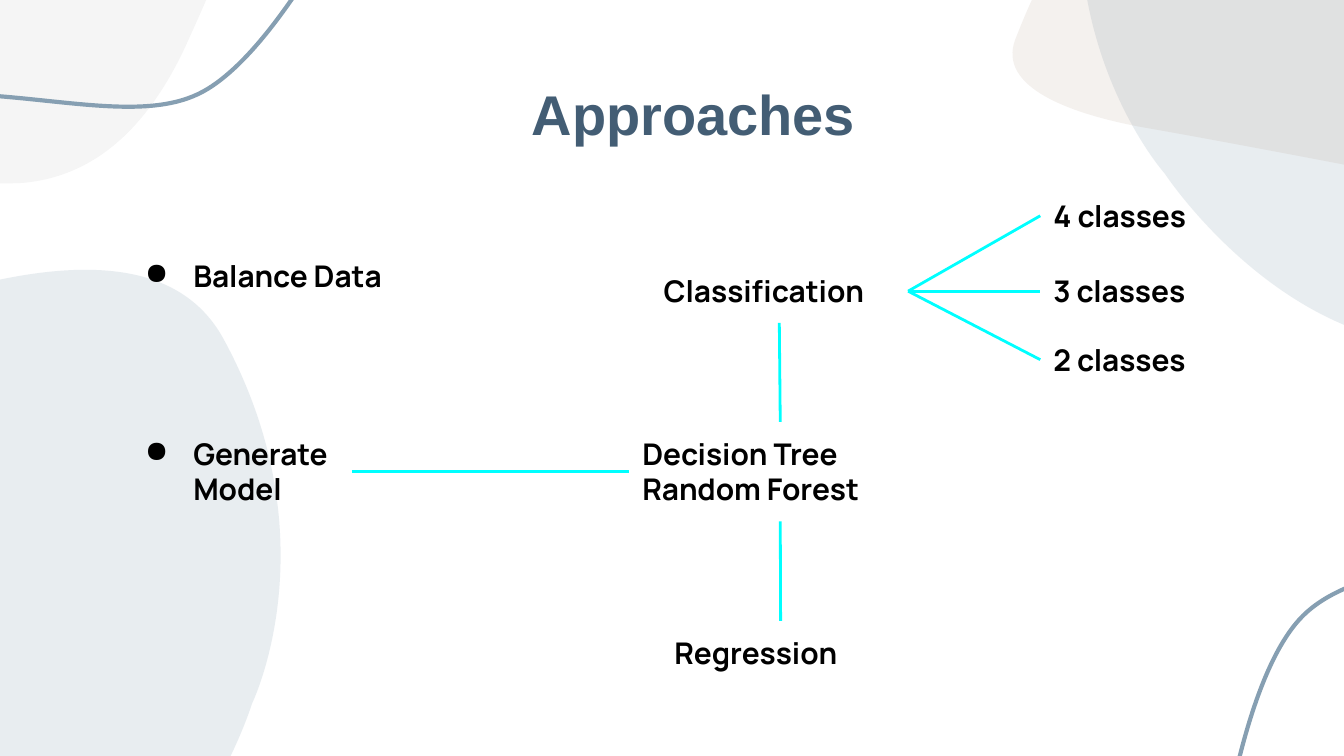
from pptx import Presentation
from pptx.dml.color import RGBColor
from pptx.enum.shapes import MSO_CONNECTOR
from pptx.enum.text import MSO_ANCHOR, MSO_AUTO_SIZE, PP_ALIGN
from pptx.oxml.ns import qn
from pptx.oxml.xmlchemy import OxmlElement
from pptx.util import Pt

COLORS = {"title": "435D74", "text": "000000", "link": "00FFFF", "wave": "869FB2",
          "mist": "CFD9E0", "sand": "AC9078", "gray": "595959", "background": "FFFFFF"}

# Background outlines: a start point, then rows of two control points and an end point
BLOBS = [
    ("mist", 46, (-235, 234), [
        (-178, 228, 63, 76, 120, 182), (178, 289, 135, 377, 135, 377),
        (135, 377, 107, 468, 35, 500), (-150, 590, -650, 280, -235, 234)]),
    ("mist", 46, (585, -99), [
        (558, 19, 624, 93, 624, 93), (624, 93, 676, 172, 755, 184),
        (1350, 270, 640, -330, 585, -99)]),
    ("sand", 12, (579, -35), [
        (561, -22, 552, 1, 544, 21), (534, 47, 574, 61, 611, 68),
        (663, 77, 772, 98, 852, 114), (1060, 155, 640, -110, 579, -35)]),
    ("gray", 6, (-49, 92), [
        (-29, 97, -9, 99, 12, 98), (58, 94, 85, 58, 102, 19),
        (125, -31, 142, -83, 162, -133), (300, -480, -700, -60, -49, 92)]),
]
WAVES = [
    ((647, 509), [(647, 509, 658, 374, 696, 332), (740, 283, 880, 318, 945, 186)]),
    ((213, -103), [(213, -103, 158, 22, 109, 49), (51, 81, -69, 2, -174, 107)]),
]

# Labels: lines of text, left, top, width, height
ONE_LINE, TWO_LINES = 34, 53.3
STEP_LEFT, CLASS_LEFT, MODEL_TOP, CLASS_TOP, NARROW = 60.5, 557.3, 226, 139, 128
TITLE = ("Approaches", 57, 34.5, 629, 52)
LABELS = {
    "models": ("Decision Tree\nRandom Forest", 337, MODEL_TOP, 162, TWO_LINES),
    "classification": ("Classification", 348.5, CLASS_TOP, 138, ONE_LINE),
    "regression": ("Regression", 354.2, 332.6, NARROW, ONE_LINE),
    "four": ("4 classes", CLASS_LEFT, 98.6, NARROW, ONE_LINE),
    "three": ("3 classes", CLASS_LEFT, CLASS_TOP, NARROW, ONE_LINE),
    "two": ("2 classes", CLASS_LEFT, 175.7, NARROW, ONE_LINE),
    "balance": ("Balance Data", STEP_LEFT, 131, 284.4, TWO_LINES),
    "generate": ("Generate Model", STEP_LEFT, MODEL_TOP, NARROW, TWO_LINES),
}
BULLETED = ("balance", "generate")
LINKS = [("generate", "right", "models", "left"),
         ("models", "top", "classification", "bottom"),
         ("models", "bottom", "regression", "top")]
LINKS += [("classification", "right", count, "left") for count in ("four", "three", "two")]
SIDES = {"left": (0, 0.5), "right": (1, 0.5), "top": (0.5, 0), "bottom": (0.5, 1)}


def rgb(name):
    return RGBColor.from_string(COLORS[name])


def add_curve(start, rows, closed):
    """Draw the control points as straight segments, then join each three into a curve."""
    builder = slide.shapes.build_freeform(Pt(start[0]), Pt(start[1]))
    points = [(Pt(row[i]), Pt(row[i + 1])) for row in rows for i in (0, 2, 4)]
    builder.add_line_segments(points, close=closed)
    outline = builder.convert_to_shape()
    outline.shadow.inherit = False
    segments = list(outline._element.iter(qn("a:lnTo")))
    for i in range(0, len(segments), 3):
        curve = OxmlElement("a:cubicBezTo")
        segments[i].addprevious(curve)
        for segment in segments[i:i + 3]:
            curve.append(segment[0])
            segment.getparent().remove(segment)
    return outline


def add_bullet(paragraph):
    properties = paragraph._p.get_or_add_pPr()
    properties.set("marL", str(Pt(36)))
    properties.set("indent", str(Pt(-26)))
    bullet_color = OxmlElement("a:buClr")
    swatch = OxmlElement("a:srgbClr")
    swatch.set("val", COLORS["text"])
    bullet_color.append(swatch)
    bullet = OxmlElement("a:buChar")
    bullet.set("char", "●")
    properties.extend([bullet_color, bullet])


def add_label(words, left, top, width, height, font_name, size, color, bulleted=False):
    label = slide.shapes.add_textbox(Pt(left), Pt(top), Pt(width), Pt(height))
    frame = label.text_frame
    frame.word_wrap = True
    frame.margin_left = frame.margin_right = frame.margin_top = frame.margin_bottom = Pt(7.2)
    frame.text = words
    for paragraph in frame.paragraphs:
        if bulleted:
            add_bullet(paragraph)
        for run in paragraph.runs:
            run.font.name, run.font.size, run.font.bold = font_name, Pt(size), True
            run.font.color.rgb = rgb(color)
    return frame


def side_point(label, side):
    _, left, top, width, height = LABELS[label]
    across, down = SIDES[side]
    return Pt(left + across * width), Pt(top + down * height)


presentation = Presentation()
presentation.slide_width, presentation.slide_height = Pt(720), Pt(405)
slide = presentation.slides.add_slide(presentation.slide_layouts[6])
slide.background.fill.solid()
slide.background.fill.fore_color.rgb = rgb("background")

# Background blobs and waves
for color, opacity, start, rows in BLOBS:
    blob = add_curve(start, rows, True)
    blob.fill.solid()
    blob.fill.fore_color.rgb = rgb(color)
    blob.line.fill.background()
    alpha = OxmlElement("a:alpha")
    alpha.set("val", str(opacity * 1000))
    blob._element.spPr.find(qn("a:solidFill"))[0].append(alpha)
for start, rows in WAVES:
    wave = add_curve(start, rows, False)
    wave.fill.background()
    wave.line.color.rgb = rgb("wave")
    wave.line.width = Pt(2.25)

# Title and labels
title = add_label(*TITLE, "Arial", 30, "title")
title.vertical_anchor = MSO_ANCHOR.MIDDLE
title.paragraphs[0].alignment = PP_ALIGN.CENTER
for key, label in LABELS.items():
    frame = add_label(*label, "Manrope", 16, "text", key in BULLETED)
    frame.auto_size = MSO_AUTO_SIZE.SHAPE_TO_FIT_TEXT

# Links between labels
for source, source_side, target, target_side in LINKS:
    link = slide.shapes.add_connector(MSO_CONNECTOR.STRAIGHT, *side_point(source, source_side),
                                      *side_point(target, target_side))
    link.line.color.rgb = rgb("link")
    link.line.width = Pt(1.5)
    link._element.spPr.append(OxmlElement("a:effectLst"))

presentation.save("out.pptx")
